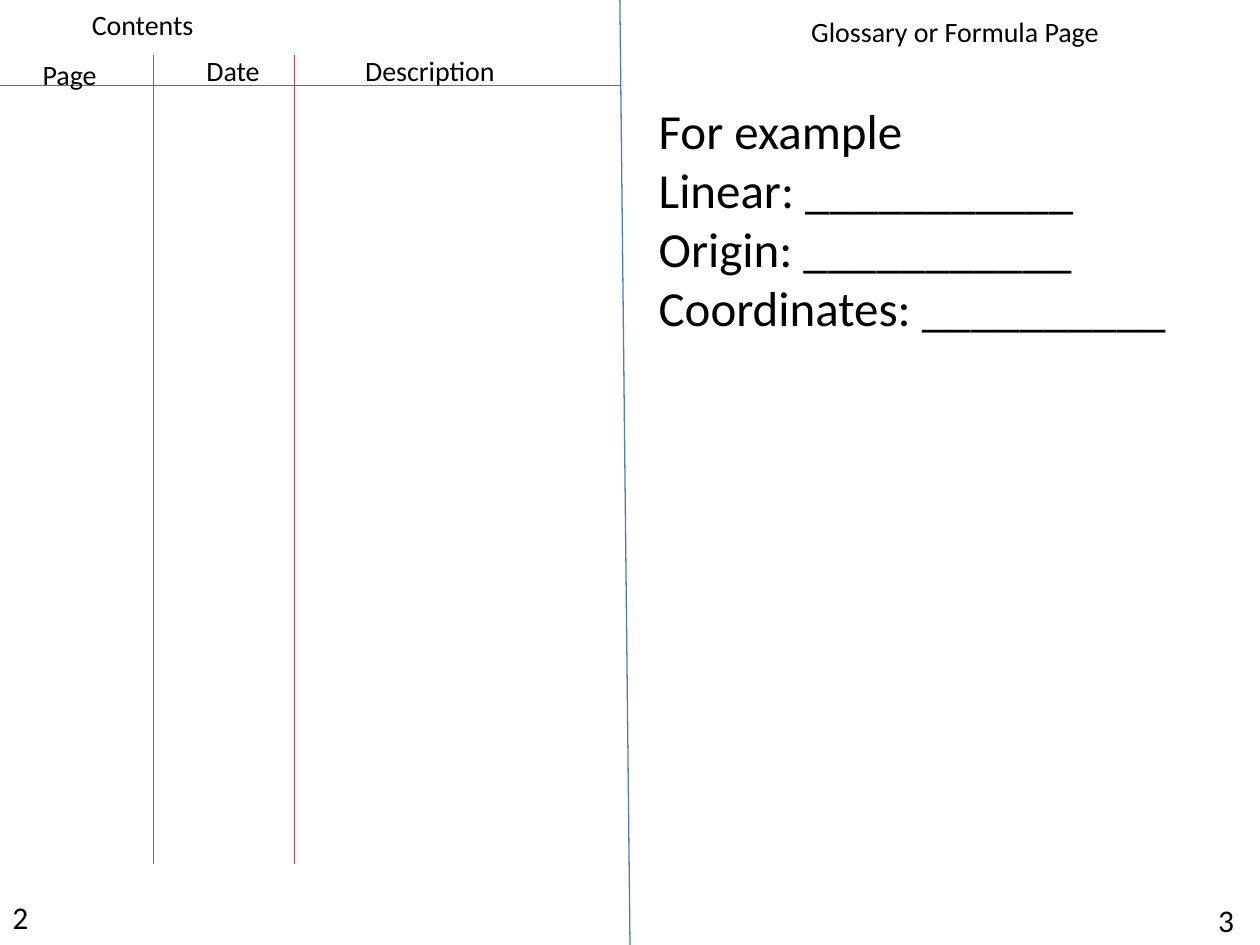
from dataclasses import dataclass

from lxml import etree
from pptx import Presentation
from pptx.dml.color import RGBColor
from pptx.enum.shapes import MSO_CONNECTOR
from pptx.enum.text import MSO_AUTO_SIZE
from pptx.oxml.ns import qn
from pptx.util import Inches, Pt

STRAIGHT = MSO_CONNECTOR.STRAIGHT
FIT_SHAPE = MSO_AUTO_SIZE.SHAPE_TO_FIT_TEXT


@dataclass(frozen=True)
class Theme:
    font: str = "Calibri"
    ink: RGBColor = RGBColor(0x00, 0x00, 0x00)
    fold: RGBColor = RGBColor(0x4B, 0x7E, 0xBC)
    rule: RGBColor = RGBColor(0xBF, 0x4C, 0x48)
    line_width: float = 0.75
    label: int = 16
    page_number: int = 18
    body: int = 28


THEME = Theme()

prs = Presentation()
prs.slide_width = Inches(10)
prs.slide_height = Inches(7.5)
s = prs.slides.add_slide(prs.slide_layouts[6])


def add_line(x1, y1, x2, y2, color=THEME.rule):
    line = s.shapes.add_connector(
        STRAIGHT, Inches(x1), Inches(y1), Inches(x2), Inches(y2))
    line.line.color.rgb = color
    line.line.width = Pt(THEME.line_width)
    etree.SubElement(line._element.spPr, qn("a:effectLst"))


def add_text(text, left, top, width, height, size=THEME.label, wrap=True):
    """Add a text box with one paragraph for each line of text."""
    sp = s.shapes.add_textbox(
        Inches(left), Inches(top), Inches(width), Inches(height))
    tf = sp.text_frame
    tf.word_wrap = wrap
    tf.auto_size = FIT_SHAPE
    for i, line in enumerate(text.split("\n")):
        p = tf.paragraphs[0] if i == 0 else tf.add_paragraph()
        r = p.add_run()
        r.text = line
        r.font.name = THEME.font
        r.font.size = Pt(size)
        r.font.color.rgb = THEME.ink


# Fold between the two pages, and the page numbers
add_line(4.92, 0, 5, 7.5, color=THEME.fold)
add_text("2", 0, 7.08, 0.33, 0.4, size=THEME.page_number, wrap=False)
add_text("3", 9.57, 7.1, 0.43, 0.4, size=THEME.page_number)

# Left page: contents
add_line(0, 0.68, 4.92, 0.68)
for x in (1.22, 2.34):
    add_line(x, 0.44, x, 6.86)

add_text("Contents", 0.63, 0.01, 1.02, 0.37, wrap=False)
add_text("Page", 0.24, 0.41, 0.64, 0.37, wrap=False)
add_text("Date", 1.54, 0.38, 0.63, 0.37, wrap=False)
add_text("Description", 2.8, 0.38, 1.53, 0.37)

# Right page: glossary
add_text("Glossary or Formula Page", 6.34, 0.07, 2.83, 0.37)
add_text(
    "For example\n"
    "Linear: ___________\n"
    "Origin: ___________\n"
    "Coordinates: __________",
    5.13, 0.75, 4.36, 1.99, size=THEME.body)

prs.save("out.pptx")
